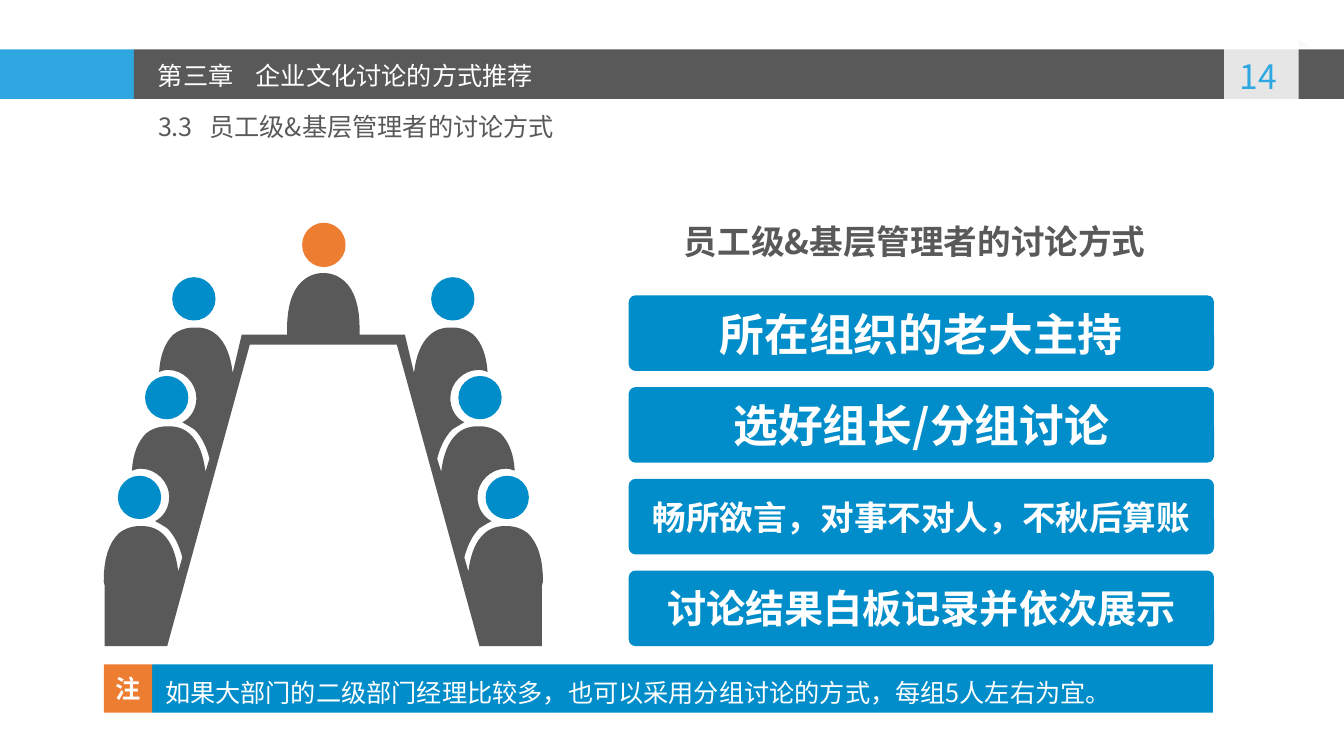
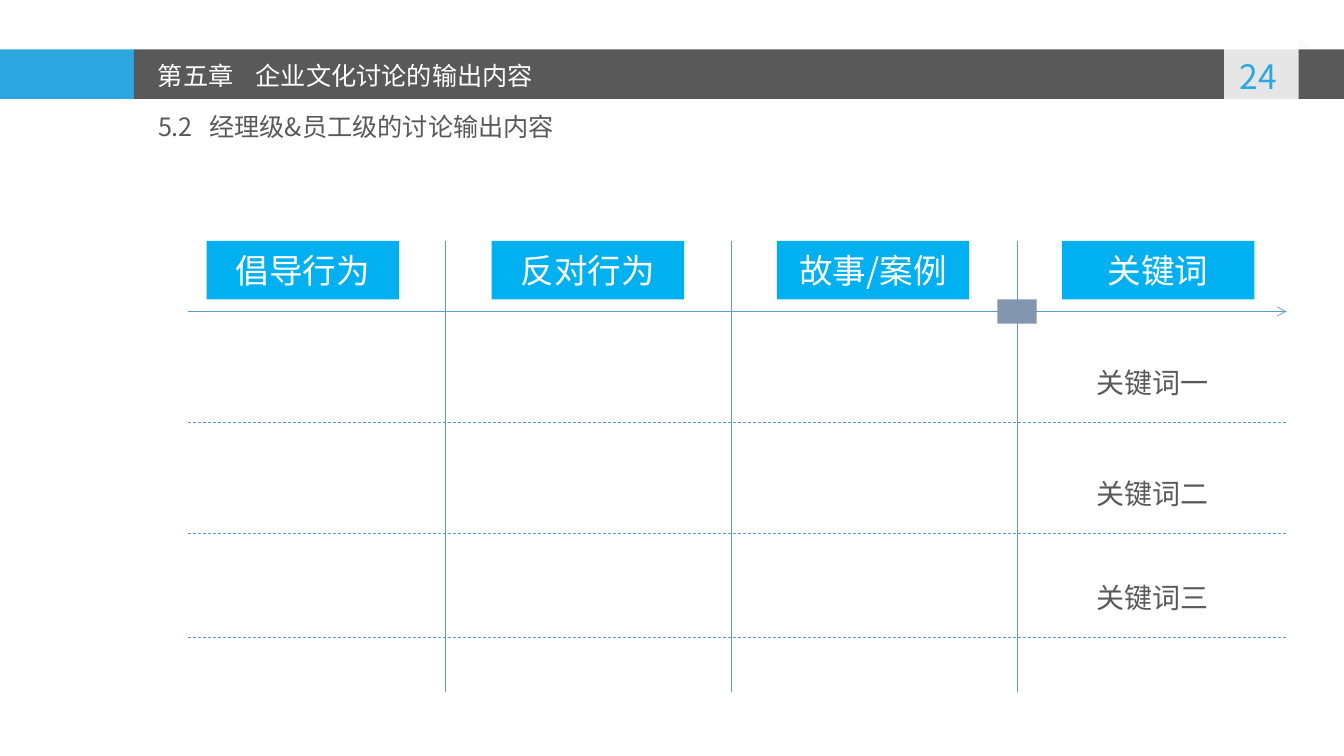
from lxml import etree
from pptx import Presentation
from pptx.dml.color import RGBColor
from pptx.enum.dml import MSO_LINE
from pptx.enum.shapes import MSO_CONNECTOR, MSO_SHAPE as SHAPE
from pptx.enum.text import MSO_ANCHOR as ANCHOR, MSO_AUTO_SIZE, PP_ALIGN as ALIGN
from pptx.oxml.ns import qn
from pptx.util import Pt

PX = 9144  # EMU per px, 100 px to the inch
FONT = "Noto Sans CJK SC"
SKY, GREY, WHITE = "2EA7E0", "595959", "FFFFFF"
BLUE, ORANGE, CYAN = "008DCA", "ED7D31", "00B0F0"
RULE, MARKER, FOLD = "5B9BD5", "8296B0", "F8F8F8"

# Meeting drawing: outlines of the left half; six numbers are a curve, two a line
MIRROR = 642  # twice the x of the axis of symmetry
SEAT_OFFSETS = [(0, 0), (-27, 98), (-54, 197)]
CHAIR = [(321, 271), (320, 271, 310, 270, 300, 279), (290, 288, 285, 304, 285, 326),
         (285, 332), (240, 332)]
SHOULDERS = [(231, 370), (229, 353, 224, 340, 215, 332), (206, 324, 195, 325, 194, 325),
             (193, 325, 182, 324, 172, 332)]
GAP_TO_NEXT = [(164, 340, 159, 352, 158, 369), (161, 368, 163, 367, 167, 367),
               (182, 367, 195, 380, 195, 395), (195, 406, 189, 415, 181, 419),
               (185, 421, 188, 423, 193, 426), (200, 433, 205, 443, 208, 455)]
FRONT_AND_TABLE = [(108, 539, 103, 554, 103, 577), (104, 581), (104, 641),
                   (166, 641), (248, 342), (321, 342)]


def rgb(value):
    return RGBColor.from_string(value)


def emu(*lengths):
    return [round(length * PX) for length in lengths]


def paint(shape, color, opacity=100):
    shape.shadow.inherit = False
    shape.fill.solid()
    shape.fill.fore_color.rgb = rgb(color)
    shape.line.fill.background()
    if opacity < 100:
        tint = shape.fill._xPr.find(qn("a:solidFill"))[0]
        etree.SubElement(tint, qn("a:alpha"), val=str(opacity * 1000))
    return shape


def write(shape, text, size, color, align=ALIGN.LEFT, bold=False, spacing=None, tab=None):
    paragraph = shape.text_frame.paragraphs[0]
    paragraph.text = text
    paragraph.alignment = align
    if spacing:
        paragraph.line_spacing = spacing
    props = paragraph._p.get_or_add_pPr()
    if tab:
        stops = etree.SubElement(props, qn("a:tabLst"))
        etree.SubElement(stops, qn("a:tab"), pos=str(tab * PX), algn="l")
    font = paragraph.font
    font.size, font.bold, font.name = Pt(size), bold, FONT
    font.color.rgb = rgb(color)
    etree.SubElement(props.find(qn("a:defRPr")), qn("a:ea"), typeface=FONT)


def add_text(slide, box, text, size, color, wrap=True, **style):
    label = slide.shapes.add_textbox(*emu(*box))
    label.text_frame.word_wrap = wrap
    label.text_frame.auto_size = MSO_AUTO_SIZE.SHAPE_TO_FIT_TEXT
    write(label, text, size, color, **style)


def add_block(slide, box, color, text=None, size=18, bold=False, kind=SHAPE.RECTANGLE,
              opacity=100):
    block = paint(slide.shapes.add_shape(kind, *emu(*box)), color, opacity)
    if text:
        block.text_frame.word_wrap = True
        block.text_frame.vertical_anchor = ANCHOR.MIDDLE
        write(block, text, size, WHITE, ALIGN.CENTER, bold)
    return block


def add_outline(slide, points, color, opacity=100):
    start, *rest = [emu(*point) for point in points]
    builder = slide.shapes.build_freeform(*start)
    builder.add_line_segments(rest, close=True)
    paint(builder.convert_to_shape(), color, opacity)


def add_rule(slide, x1, y1, x2, y2, dashed=False, arrow=False):
    rule = slide.shapes.add_connector(MSO_CONNECTOR.STRAIGHT, *emu(x1, y1, x2, y2))
    rule.line.color.rgb = rgb(RULE)
    rule.line.width = Pt(0.5)
    if dashed:
        rule.line.dash_style = MSO_LINE.DASH
    if arrow:
        etree.SubElement(rule.line._get_or_add_ln(), qn("a:tailEnd"), type="arrow")
    etree.SubElement(rule._element.spPr, qn("a:effectLst"))


def shifted(segments, dx, dy):
    return [tuple(value + (dy if i % 2 else dx) for i, value in enumerate(segment))
            for segment in segments]


def flatten(segments, steps=8):
    """Turn lines and cubic curves into a list of points."""
    points = []
    for segment in segments:
        if len(segment) == 2:
            points.append(segment)
            continue
        x0, y0 = points[-1]
        x1, y1, x2, y2, x3, y3 = segment
        for step in range(1, steps + 1):
            t = step / steps
            a, b, c, d = (1 - t) ** 3, 3 * t * (1 - t) ** 2, 3 * t * t * (1 - t), t ** 3
            points.append((a * x0 + b * x1 + c * x2 + d * x3,
                           a * y0 + b * y1 + c * y2 + d * y3))
    return points


def add_meeting(slide):
    # Heads
    head = 43
    add_block(slide, (300, 221, head, head + 1), ORANGE, kind=SHAPE.OVAL)
    for dx, dy in SEAT_OFFSETS:
        left = 171 + dx
        for x in (left, MIRROR - left - head):
            add_block(slide, (x, 275 + dy, head, head), BLUE, kind=SHAPE.OVAL)
    # Bodies and table, one outline
    half = list(CHAIR)
    for offset in SEAT_OFFSETS:
        half += shifted(SHOULDERS, *offset)
        if offset != SEAT_OFFSETS[-1]:
            half += shifted(GAP_TO_NEXT, *offset)
    left = flatten(half + FRONT_AND_TABLE)
    right = [(MIRROR - x, y) for x, y in reversed(left)]
    add_outline(slide, left + right, GREY)


def add_page(deck, number, chapter, section):
    """Blank slide with the band, page number and both heading lines."""
    slide = deck.slides.add_slide(deck.slide_layouts[6])
    add_block(slide, (0, 49, 133, 49), SKY)
    add_block(slide, (133, 49, 1201, 49), GREY)
    add_block(slide, (1289, 39, 12, 8), FOLD, kind=SHAPE.RIGHT_TRIANGLE, opacity=83)
    add_outline(slide, [(1215, 109), (1215, 40), (1289, 40), (1289, 109), (1251, 103)],
                WHITE, opacity=85)
    add_text(slide, (1212, 51, 74, 50), number, 24, SKY, align=ALIGN.CENTER)
    add_text(slide, (147, 55, 504, 40), chapter, 18, WHITE, tab=97)
    add_text(slide, (147, 106, 531, 40), section, 18, GREY, tab=51)
    return slide


def add_discussion_page(deck):
    slide = add_page(deck, "14", "第三章\t企业文化讨论的方式推荐",
                     "3.3\t员工级&基层管理者的讨论方式")
    add_meeting(slide)
    # Steps
    add_text(slide, (669, 214, 494, 50), "员工级&基层管理者的讨论方式", 24, GREY,
             wrap=False, bold=True)
    steps = [("所在组织的老大主持", 32), ("选好组长/分组讨论", 32),
             ("畅所欲言，对事不对人，不秋后算账", 24), ("讨论结果白板记录并依次展示", 28)]
    for row, (text, size) in enumerate(steps):
        step = add_block(slide, (624, 293 + 91 * row, 581, 75), BLUE, text, size, True,
                         SHAPE.ROUNDED_RECTANGLE)
        step.adjustments[0] = 0.09
    # Note
    add_block(slide, (151, 659, 1053, 48), BLUE)
    add_text(slide, (154, 661, 1050, 46),
             "如果大部门的二级部门经理比较多，也可以采用分组讨论的方式，每组5人左右为宜。",
             18, WHITE, spacing=1.2)
    add_block(slide, (103, 659, 48, 48), ORANGE, "注", 18, True)


def add_output_page(deck):
    slide = add_page(deck, "24", "第五章\t企业文化讨论的输出内容",
                     "5.2\t经理级&员工级的讨论输出内容")
    # Grid
    left, right, top, bottom = 187, 1277, 239, 687
    add_rule(slide, left, 309, right, 309, arrow=True)
    for y in (419, 529, 632):
        add_rule(slide, left, y, right, y, dashed=True)
    for column in range(3):
        x = 442 + 284 * column
        add_rule(slide, x, top, x, bottom)
    add_block(slide, (990, 297, 39, 24), MARKER)
    # Column heads and keywords
    for column, text in enumerate(["倡导行为", "反对行为", "故事/案例", "关键词"]):
        add_block(slide, (205 + 283 * column, top, 191, 58), CYAN, text, 24)
    for y, text in [(341, "关键词一"), (451, "关键词二"), (554, "关键词三")]:
        add_text(slide, (1069, y, 150, 60), text, 20, GREY, align=ALIGN.CENTER, spacing=1.5)


def main():
    deck = Presentation()
    deck.slide_width, deck.slide_height = emu(1334, 750)
    add_discussion_page(deck)
    add_output_page(deck)
    deck.save("out.pptx")


if __name__ == "__main__":
    main()
